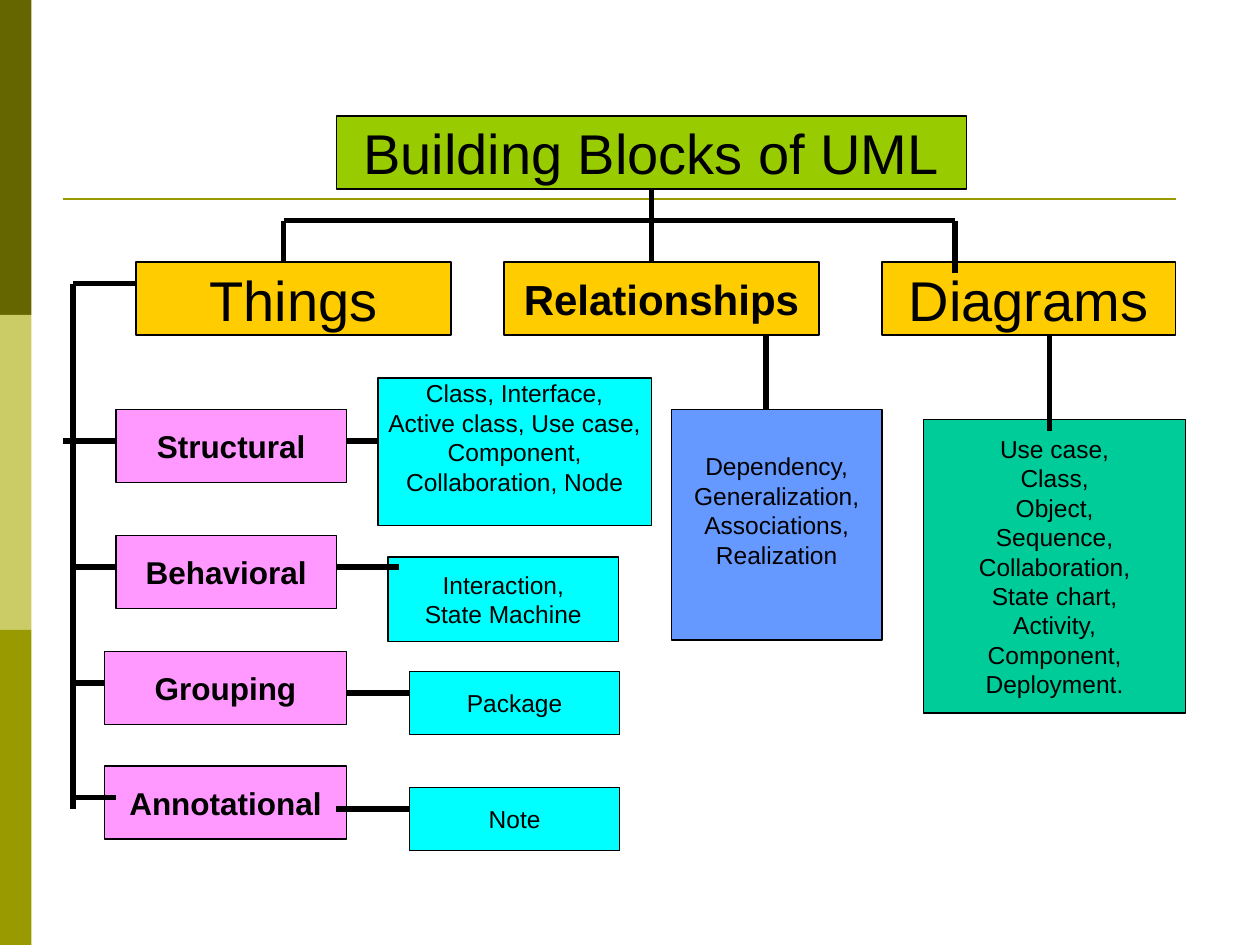
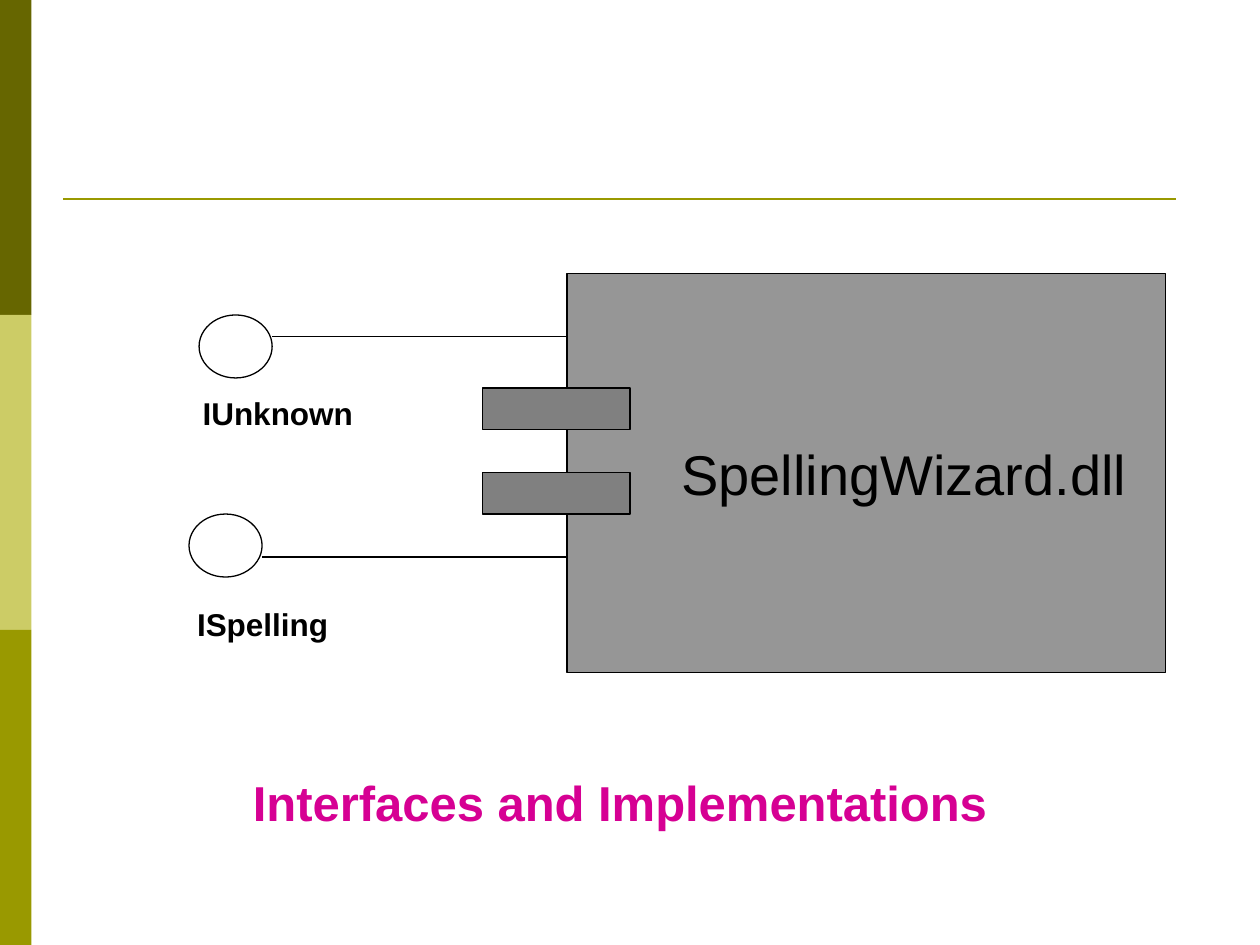
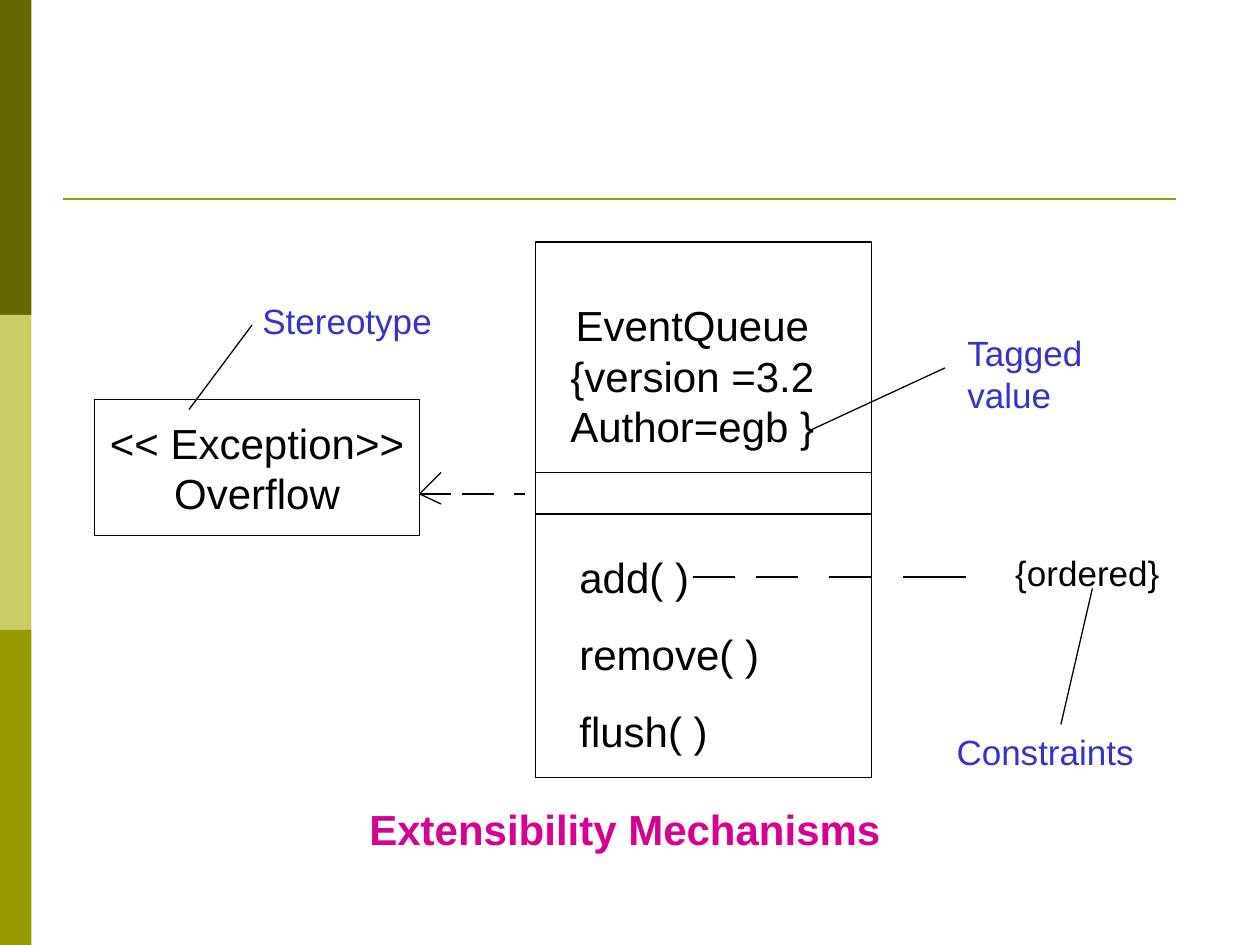
from lxml import etree
from pptx import Presentation
from pptx.dml.color import RGBColor
from pptx.enum import shapes, text
from pptx.oxml.ns import qn
from pptx.util import Inches, Pt

COLORS = {
    "ink": "000000", "dark_olive": "666600", "pale_olive": "CCCC66", "olive": "999900",
    "root": "99CC00", "branch": "FFCC00", "thing": "FF99FF", "example": "00FFFF",
    "relationship": "6699FF", "diagram": "00CC99", "component": "969696",
    "tab": "808080", "caption": "D60093", "note": "3333CC",
}
FONT = "Arial"
TITLE_ONLY = 5
RECT, OVAL = shapes.MSO_SHAPE.RECTANGLE, shapes.MSO_SHAPE.OVAL
CENTER, LEFT = text.PP_ALIGN.CENTER, text.PP_ALIGN.LEFT
MIDDLE, TOP = text.MSO_ANCHOR.MIDDLE, text.MSO_ANCHOR.TOP


def rgb(name):
    return RGBColor.from_string(COLORS[name])


def write(frame, words, size=14, color="ink", bold=False, align=CENTER, anchor=MIDDLE,
          wrap=False, space=0, insets=(0.1, 0.05, 0.1, 0.05)):
    """Fill a text frame, one paragraph per line; insets run left, top, right, bottom."""
    frame.auto_size = text.MSO_AUTO_SIZE.NONE
    frame.word_wrap = wrap
    frame.vertical_anchor = anchor
    (frame.margin_left, frame.margin_top,
     frame.margin_right, frame.margin_bottom) = map(Inches, insets)
    for index, line in enumerate(words.split("\n")):
        paragraph = frame.add_paragraph() if index else frame.paragraphs[0]
        paragraph.alignment = align
        paragraph.space_before = Pt(space if index else 0)
        run = paragraph.add_run()
        run.text = line
        run.font.name, run.font.size, run.font.bold = FONT, Pt(size), bold
        run.font.color.rgb = rgb(color)


def paint(shape, fill=None, outline="ink"):
    if fill:
        shape.fill.solid()
        shape.fill.fore_color.rgb = rgb(fill)
    else:
        shape.fill.background()
    if outline:
        shape.line.color.rgb = rgb(outline)
        shape.line.width = Pt(0.75)
    else:
        shape.line.fill.background()


def block(slide, at, words="", fill=None, outline="ink", preset=RECT, **form):
    shape = slide.shapes.add_shape(preset, *map(Inches, at))
    shape.shadow.inherit = False
    paint(shape, fill, outline)
    if words:
        write(shape.text_frame, words, **form)
    return shape


def label(slide, at, words, **form):
    frame = slide.shapes.add_textbox(*map(Inches, at)).text_frame
    write(frame, words, anchor=TOP, wrap=True, **form)


def title(slide, at, words, **form):
    heading = slide.shapes.title
    heading.left, heading.top, heading.width, heading.height = map(Inches, at)
    write(heading.text_frame, words, **form)
    return heading


def line(slide, x1, y1, x2, y2, weight=0.75, color="ink"):
    connector = slide.shapes.add_connector(
        shapes.MSO_CONNECTOR.STRAIGHT, *map(Inches, (x1, y1, x2, y2)))
    connector.line.color.rgb = rgb(color)
    connector.line.width = Pt(weight)
    etree.SubElement(connector.element.spPr, qn("a:effectLst"))
    return connector


def lines(slide, left, top, segments, weight=0.75):
    for x1, y1, x2, y2 in segments:
        line(slide, left + x1, top + y1, left + x2, top + y2, weight)


def decorate_master(prs, slide):
    """Draw the side bands and rule, then move them to the master all slides share."""
    parts = [block(slide, (0, 2.5 * row, 0.25, 2.5), fill=band, outline=None)
             for row, band in enumerate(("dark_olive", "pale_olive", "olive"))]
    parts.append(line(slide, 0.5, 1.58, 9.33, 1.58, 1.5, "olive"))
    for part in parts:
        prs.slide_master.shapes.element.append(part.element)


def uml_headings(slide, left, top):
    root = title(slide, (left + 1.59, top, 5, 0.58), "Building Blocks of UML", size=32)
    paint(root, "root")
    for x, width, words, form in (
        (0, 2.5, "Things", {"size": 32}),
        (2.92, 2.5, "Relationships", {"size": 24, "bold": True}),
        (5.92, 2.33, "Diagrams", {"size": 32}),
    ):
        block(slide, (left + x, top + 1.16, width, 0.58), words, "branch", **form)
    lines(slide, left, top, [
        (4.09, 0.58, 4.09, 1.16), (1.17, 0.83, 6.5, 0.83),
        (1.17, 0.83, 1.17, 1.16), (6.5, 0.83, 6.5, 1.25)], 3)


def things_branch(slide, left, top):
    """Place each kind of thing with its examples, hung from one trunk."""
    # kind, its left, top and width; examples and their place; ends and heights of both links
    rows = [
        ("Structural", 0.42, 1, 1.83,
         "Class, Interface,\nActive class, Use case,\nComponent,\nCollaboration, Node",
         (2.5, 0.75, 2.17, 1.17), (0, 0.42, 1.25), (2.25, 2.5, 1.25)),
        ("Behavioral", 0.42, 2, 1.75, "Interaction,\nState Machine",
         (2.58, 2.17, 1.83, 0.67), (0.08, 0.42, 2.25), (2.17, 2.67, 2.25)),
        ("Grouping", 0.33, 2.92, 1.92, "Package",
         (2.75, 3.08, 1.67, 0.5), (0.08, 0.33, 3.17), (2.25, 2.75, 3.25)),
        ("Annotational", 0.33, 3.83, 1.92, "Note",
         (2.75, 4, 1.67, 0.5), (0.08, 0.42, 4.08), (2.17, 2.75, 4.17)),
    ]
    for kind, x, y, width, examples, (ex, ey, ew, eh), *links in rows:
        block(slide, (left + x, top + y, width, 0.58), kind, "thing", size=18, bold=True)
        insets = (0.1, 0, 0.1, 0.23) if kind == "Structural" else (0.1, 0.05, 0.1, 0.05)
        block(slide, (left + ex, top + ey, ew, eh), examples, "example", insets=insets)
        lines(slide, left, top, [(start, at, end, at) for start, end, at in links], 3)
    lines(slide, left, top, [(0.08, 0, 0.58, 0), (0.08, 0, 0.08, 4.17)], 3)


def relationships_branch(slide, left, top):
    block(slide, (left, top + 0.58, 1.67, 1.83),
          "Dependency,\nGeneralization,\nAssociations,\nRealization",
          "relationship", insets=(0.1, 0.05, 0.1, 0.28))
    lines(slide, left, top, [(0.75, 0, 0.75, 0.58)], 3)


def diagrams_branch(slide, left, top):
    block(slide, (left, top + 0.66, 2.08, 2.33),
          "Use case,\nClass,\nObject,\nSequence,\nCollaboration,\nState chart,\n"
          "Activity,\nComponent,\nDeployment.", "diagram")
    lines(slide, left, top, [(1, 0, 1, 0.75)], 3)


def building_blocks(slide):
    uml_headings(slide, 1.08, 0.92)
    things_branch(slide, 0.5, 2.25)
    relationships_branch(slide, 5.33, 2.67)
    diagrams_branch(slide, 7.33, 2.67)


def component(slide, left, top):
    block(slide, (left + 0.67, top, 4.75, 3.17), "SpellingWizard.dll", "component",
          size=32, insets=(0.7, 0.05, 0.1, 0.05))
    for row in range(2):
        block(slide, (left, top + 0.91 + 0.67 * row, 1.17, 0.33), fill="tab")


def interface(slide, left, top, name, name_at, link_y, link_end):
    """Draw a lollipop, with the name box and the link placed from its corner."""
    x, y, width = name_at
    block(slide, (left, top, 0.58, 0.5), preset=OVAL)
    lines(slide, left, top, [(0.58, link_y, link_end - left, link_y)])
    label(slide, (left + x, top + y, width, 0.4), name, size=18, bold=True)


def interfaces(slide):
    component(slide, 3.83, 2.17)
    interface(slide, 1.58, 2.5, "IUnknown", (-0.25, 0.58, 1.75), 0.17, 4.5)
    interface(slide, 1.5, 4.08, "ISpelling", (-0.25, 0.67, 1.67), 0.34, 4.5)
    title(slide, (1.67, 6.08, 6.5, 0.57), "Interfaces and Implementations",
          size=28, color="caption", bold=True, anchor=TOP, wrap=True)


def event_queue(slide, left, top):
    block(slide, (left, top, 2.67, 4.25))
    label(slide, (left + 0.08, top + 0.41, 2.33, 1.4),
          "EventQueue\n{version =3.2\nAuthor=egb }", size=24)
    label(slide, (left + 0.25, top + 2.41, 1.92, 1.8),
          "add( )\nremove( )\nflush( )", size=24, align=LEFT, space=15)
    lines(slide, left, top, [(0, y, 2.67, y) for y in (1.83, 2.16)])


def exception(slide, left, top):
    block(slide, (left, top, 2.58, 1.08), "<< Exception>>\nOverflow", size=24)
    dashes = [(2.58, 2.83), (2.92, 3.17), (3.33, 3.42)]
    lines(slide, left, top, [(start, 0.75, end, 0.75) for start, end in dashes])
    lines(slide, left, top, [(2.75, 0.58, 2.58, 0.75), (2.58, 0.75, 2.75, 0.83)])


def ordered_constraint(slide, left, top):
    dashes = [(0, 0.33), (0.5, 0.83), (1.08, 1.42), (1.67, 2.17)]
    lines(slide, left, top, [(start, 0.25, end, 0.25) for start, end in dashes])
    label(slide, (left + 2.42, top, 1.42, 0.44), "{ordered}", size=20)


def annotation(slide, left, top, width, height, words, pointer, align=CENTER):
    label(slide, (left, top, width, height), words, size=20, color="note", align=align)
    lines(slide, left, top, [pointer])


def extensibility(slide):
    exception(slide, 0.75, 3.17)
    event_queue(slide, 4.25, 1.92)
    ordered_constraint(slide, 5.5, 4.33)
    annotation(slide, 1.42, 2.33, 2.67, 0.44, "Stereotype", (0.08, 0.92, 0.58, 0.25))
    annotation(slide, 7.58, 2.58, 1.83, 0.77, "Tagged value",
               (-1.16, 0.84, -0.08, 0.34), LEFT)
    annotation(slide, 7.42, 5.75, 1.75, 0.44, "Constraints", (1.25, -1.08, 1, 0))
    title(slide, (1.92, 6.33, 6.08, 0.5), "Extensibility Mechanisms",
          size=24, color="caption", bold=True, anchor=TOP, wrap=True)


def main():
    prs = Presentation()
    prs.slide_width, prs.slide_height = Inches(10), Inches(7.5)
    for number, build in enumerate((building_blocks, interfaces, extensibility)):
        slide = prs.slides.add_slide(prs.slide_layouts[TITLE_ONLY])
        if number == 0:
            decorate_master(prs, slide)
        build(slide)
    prs.save("out.pptx")


if __name__ == "__main__":
    main()
